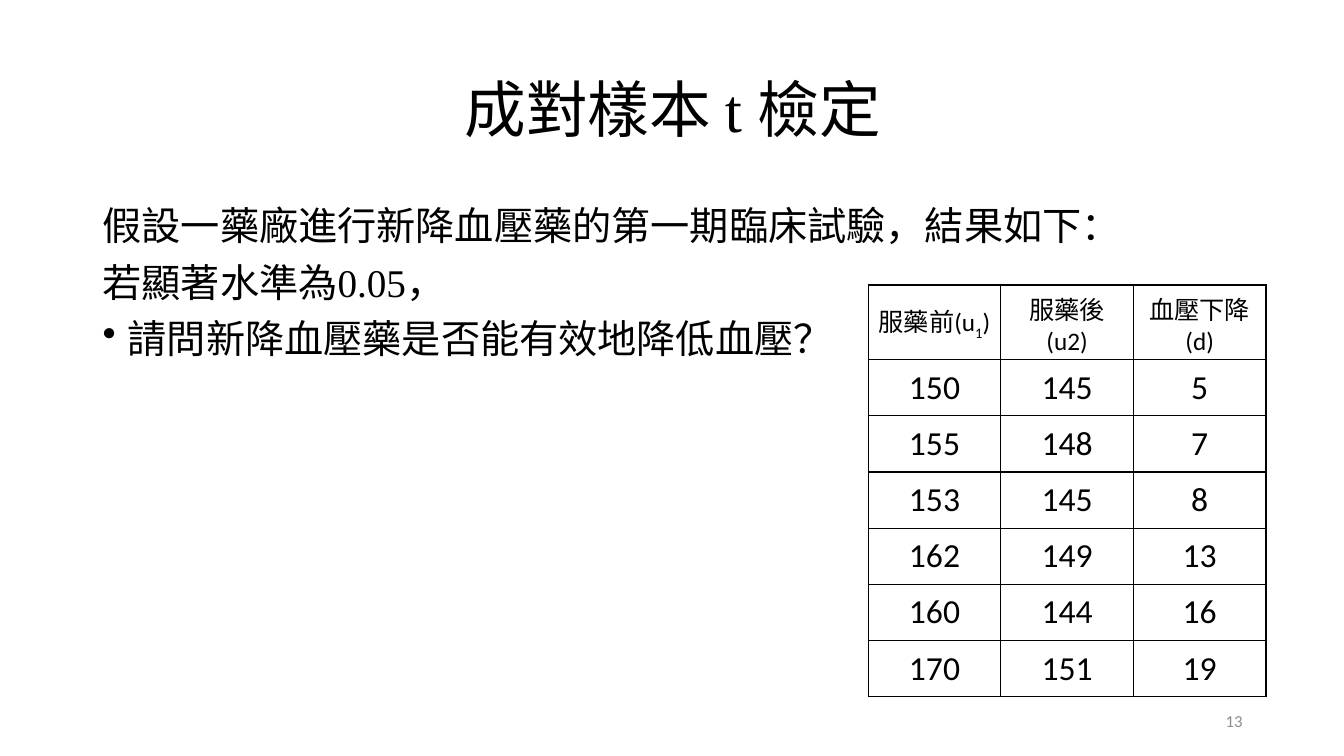
from pptx import Presentation
from pptx.dml.color import RGBColor
from pptx.enum.text import MSO_ANCHOR as Anchor, PP_ALIGN as Align
from pptx.oxml import parse_xml
from pptx.oxml.ns import nsdecls
from pptx.util import Inches, Pt


def paint(color, code):
    color.rgb = RGBColor.from_string(code)


class Deck:
    serif, sans, asian = "Times New Roman", "Calibri", "Noto Sans CJK SC"
    ink, gray = "000000", "8C8C8C"

    def __init__(self, width, height):
        self.prs = Presentation()
        self.prs.slide_width = Inches(width)
        self.prs.slide_height = Inches(height)
        self.slide = self.prs.slides.add_slide(self.prs.slide_layouts[5])

    def area(self, left, top, width, height):
        wide, high = self.prs.slide_width, self.prs.slide_height
        return [int(left * wide), int(top * high), int(width * wide), int(height * high)]

    def style(self, para, size, face, code=ink, align=Align.LEFT, line=None, before=0):
        para.alignment = align
        para.space_before = Pt(before)
        if line:
            para.line_spacing = line
        para.font.size, para.font.name, para.font.bold = Pt(size), face, False
        paint(para.font.color, code)

    def title(self, words, area):
        shape = self.slide.shapes.title
        shape.left, shape.top, shape.width, shape.height = self.area(*area)
        frame = shape.text_frame
        frame.text = words
        frame.vertical_anchor = Anchor.MIDDLE
        self.style(frame.paragraphs[0], 44, self.serif, align=Align.CENTER, line=0.9)

    def box(self, lines, area, anchor=Anchor.TOP):
        frame = self.slide.shapes.add_textbox(*self.area(*area)).text_frame
        frame.word_wrap = True
        frame.vertical_anchor = anchor
        frame.text = "\n".join(lines)
        return frame.paragraphs

    def body(self, lines, points, area):
        paras = self.box(lines + points, area)
        for para in paras:
            self.style(para, 28, self.serif, line=0.9, before=10)
        for para in paras[len(lines):]:
            para.font.name = self.asian
            props = para._p.get_or_add_pPr()
            props.set("marL", str(Inches(0.25)))
            props.set("indent", str(-Inches(0.25)))
            mark = parse_xml(f'<a:buChar {nsdecls("a")} char="•"/>')
            props.insert_element_before(mark, "a:tabLst", "a:defRPr", "a:extLst")

    def number(self, words, area):
        para = self.box([words], area, Anchor.MIDDLE)[0]
        self.style(para, 12, self.sans, self.gray, Align.RIGHT)

    def cell(self, cell, words, size):
        para = cell.text_frame.paragraphs[0]
        for i, part in enumerate(words.split("_")):
            run = para.add_run()
            run.text = part
            if i == 1:
                run._r.get_or_add_rPr().set("baseline", "-25000")
        self.style(para, size, self.sans, align=Align.CENTER)
        cell.vertical_anchor = Anchor.MIDDLE
        props = cell._tc.get_or_add_tcPr()
        for side in "LRTB":
            props.append(parse_xml(
                f'<a:ln{side} {nsdecls("a")} w="{Pt(1)}"><a:solidFill>'
                f'<a:srgbClr val="{self.ink}"/></a:solidFill></a:ln{side}>'))
        cell.fill.background()

    def table(self, head, data, area, top):
        rows = [head] + data
        spot = self.area(*area)
        table = self.slide.shapes.add_table(len(rows), len(head), *spot).table
        table.first_row = table.horz_banding = False
        first = int(spot[3] * top)
        for i, row in enumerate(rows):
            table.rows[i].height = first if i == 0 else (spot[3] - first) // len(data)
            for j, words in enumerate(row):
                self.cell(table.cell(i, j), str(words), 24 if i else 18)


deck = Deck(13.33, 7.5)
deck.title("成對樣本 t 檢定", (0.069, 0.053, 0.863, 0.193))
deck.body(
    ["假設一藥廠進行新降血壓藥的第一期臨床試驗，結果如下：", "若顯著水準為0.05，"],
    ["請問新降血壓藥是否能有效地降低血壓？"],
    (0.069, 0.267, 0.863, 0.635))
deck.number("13", (0.707, 0.927, 0.225, 0.053))
pairs = [(150, 145), (155, 148), (153, 145), (162, 149), (160, 144), (170, 151)]
deck.table(
    ["服藥前(u_1_)", "服藥後(u2)", "血壓下降(d)"],
    [(old, new, old - new) for old, new in pairs],
    (0.646, 0.377, 0.296, 0.537), 0.17)
deck.prs.save("out.pptx")
